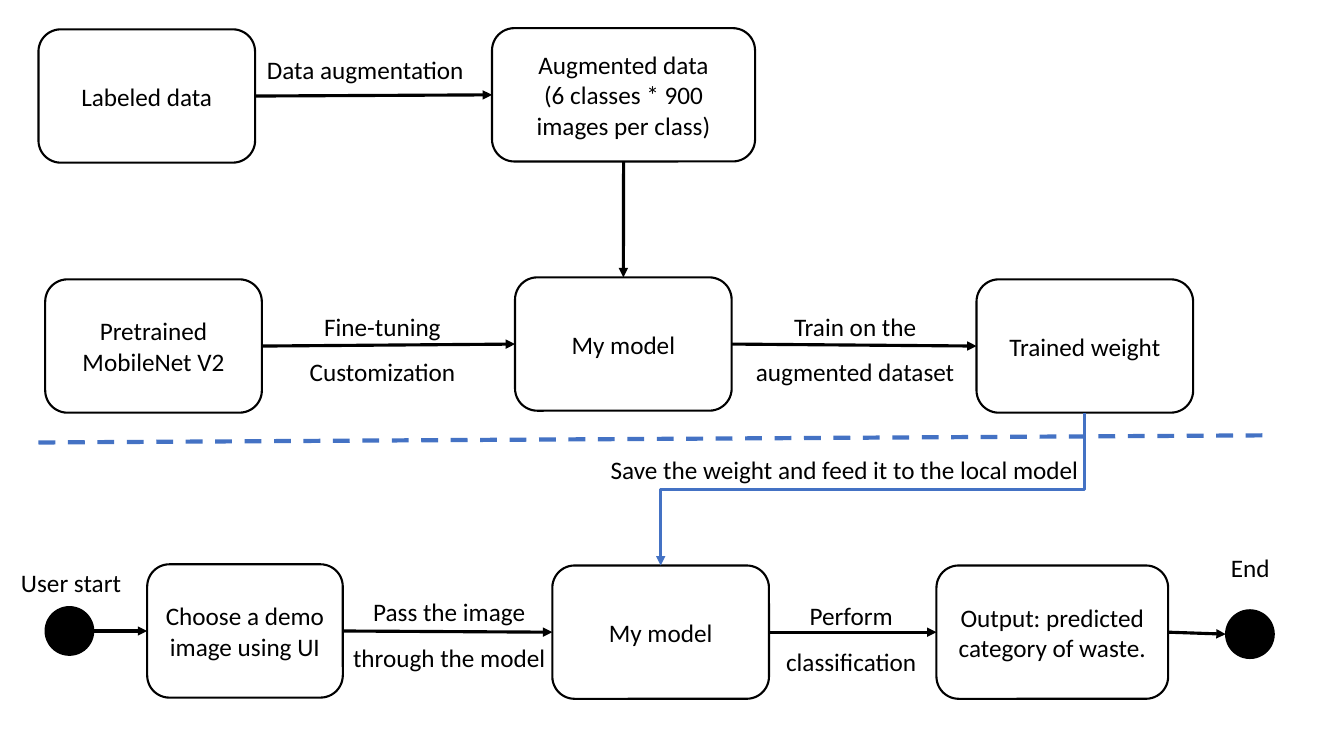
from lxml import etree
from pptx import Presentation
from pptx.dml.color import RGBColor
from pptx.enum import dml, shapes, text
from pptx.oxml import ns
from pptx.util import Cm, Pt

BLACK = RGBColor(0x00, 0x00, 0x00)
WHITE = RGBColor(0xFF, 0xFF, 0xFF)
BLUE = RGBColor(0x44, 0x72, 0xC4)

STEP_WIDTH, STEP_HEIGHT, DOT_SIZE = 5.46, 3.36, 1.22
TOP, LEFT, BOTTOM, RIGHT = range(4)  # connection sites of a step
FONT = {"name": "Calibri", "size": Pt(18)}


def write(frame, wording, align=text.PP_ALIGN.CENTER, spacing=1.0):
    """Fill a text frame, one paragraph per line of wording."""
    frame.word_wrap = True
    frame.text = wording
    for paragraph in frame.paragraphs:
        paragraph.alignment = align
        paragraph.line_spacing = spacing
        for key, value in FONT.items():
            setattr(paragraph.font, key, value)
        paragraph.font.color.rgb = BLACK


def add_node(slide, kind, area, at, size, fill, weight):
    """Place an outlined shape at an offset (cm) from its area's corner."""
    node = slide.shapes.add_shape(
        kind, Cm(area[0] + at[0]), Cm(area[1] + at[1]), Cm(size[0]), Cm(size[1]))
    node.shadow.inherit = False
    node.fill.solid()
    node.fill.fore_color.rgb = fill
    node.line.color.rgb = BLACK
    node.line.width = Pt(weight)
    return node


def add_step(slide, area, at, wording, width=STEP_WIDTH):
    step = add_node(slide, shapes.MSO_SHAPE.ROUNDED_RECTANGLE, area, at,
                    (width, STEP_HEIGHT), WHITE, 1.5)
    step.text_frame.vertical_anchor = text.MSO_ANCHOR.MIDDLE
    write(step.text_frame, wording)
    return step


def add_dot(slide, area, at):
    return add_node(slide, shapes.MSO_SHAPE.OVAL, area, at,
                    (DOT_SIZE, DOT_SIZE), BLACK, 1)


def add_label(slide, area, at, size, wording, **style):
    label = slide.shapes.add_textbox(
        Cm(area[0] + at[0]), Cm(area[1] + at[1]), Cm(size[0]), Cm(size[1]))
    write(label.text_frame, wording, **style)


def add_line(slide, kind, start, end, color=BLACK, weight=2.25, arrow=True):
    line = slide.shapes.add_connector(kind, *start, *end)
    line.line.color.rgb = color
    line.line.width = Pt(weight)
    if arrow:
        etree.SubElement(line.line._get_or_add_ln(), ns.qn("a:tailEnd"), type="triangle")
    etree.SubElement(line._element.spPr, ns.qn("a:effectLst"))
    return line


def site_point(node, site):
    across, down = {TOP: (0.5, 0), LEFT: (0, 0.5),
                    BOTTOM: (0.5, 1), RIGHT: (1, 0.5)}[site]
    return int(node.left + node.width * across), int(node.top + node.height * down)


def link(slide, source, target, leave=RIGHT, enter=LEFT):
    """Straight arrow between two nodes, glued wherever it meets a step."""
    arrow = add_line(slide, shapes.MSO_CONNECTOR.STRAIGHT,
                     site_point(source, leave), site_point(target, enter))
    step_kind = shapes.MSO_SHAPE.ROUNDED_RECTANGLE
    if source.auto_shape_type == step_kind:
        arrow.begin_connect(source, leave)
    if target.auto_shape_type == step_kind:
        arrow.end_connect(target, enter)


def link_chain(slide, nodes):
    for source, target in zip(nodes, nodes[1:]):
        link(slide, source, target)


def build_data_row(slide, area):
    labeled = add_step(slide, area, (0, 0.03), "Labeled data")
    augmented = add_step(slide, area, (11.43, 0),
                         "Augmented data\n(6 classes * 900 images per class)", 6.63)
    link(slide, labeled, augmented)
    add_label(slide, area, (5.2, 0.53), (6.07, 1.02), "Data augmentation")
    return augmented


def build_training_row(slide, area, augmented):
    pretrained = add_step(slide, area, (0.17, 0.05), "Pretrained\nMobileNet V2")
    model = add_step(slide, area, (12.01, 0), "My model")
    weight = add_step(slide, area, (23.64, 0.05), "Trained weight")
    link_chain(slide, [pretrained, model, weight])
    link(slide, augmented, model, BOTTOM, TOP)
    add_label(slide, area, (5.84, 0.35), (5.66, 2.44),
              "Fine-tuning\nCustomization", spacing=1.5)
    add_label(slide, area, (17.52, 0.35), (6.12, 2.44),
              "Train on the augmented dataset", spacing=1.5)
    return weight


def build_user_row(slide, area):
    start = add_dot(slide, area, (0.17, 1.07))
    choose = add_step(slide, area, (2.74, 0), "Choose a demo image using UI", 4.93)
    model = add_step(slide, area, (12.95, 0.03), "My model")
    output = add_step(slide, area, (22.63, 0.03),
                      "Output: predicted category of waste.", 5.84)
    end = add_dot(slide, area, (29.92, 1.15))
    link_chain(slide, [start, choose, model, output, end])
    for at, size, wording in [
        ((-1.63, -0.43), (4.9, 1.3), "User start"),
        ((7.62, 0.31), (5.46, 2.44), "Pass the image through the model"),
        ((18.56, 0.41), (3.84, 2.44), "Perform classification"),
        ((28.09, -0.81), (4.9, 1.3), "End"),
    ]:
        add_label(slide, area, at, size, wording, spacing=1.5)
    return model


def build_handoff(slide, area, weight, local_model):
    # Dashed divider between training and use
    left, top = area
    divider = add_line(slide, shapes.MSO_CONNECTOR.STRAIGHT,
                       (Cm(left), Cm(top + 0.18)), (Cm(left + 30.86), Cm(top)),
                       BLUE, 3, arrow=False)
    divider.line.dash_style = dml.MSO_LINE.DASH

    # Elbow going down, across and down: a quarter turn about its centre
    x1, y1 = site_point(weight, BOTTOM)
    x2, y2 = site_point(local_model, TOP)
    mid_x, mid_y = (x1 + x2) // 2, (y1 + y2) // 2
    half_drop, half_run = (y2 - y1) // 2, (x1 - x2) // 2
    elbow = add_line(slide, shapes.MSO_CONNECTOR.ELBOW,
                     (mid_x - half_drop, mid_y - half_run),
                     (mid_x + half_drop, mid_y + half_run), BLUE)
    elbow._element.spPr.find(ns.qn("a:xfrm")).set("rot", str(90 * 60000))

    add_label(slide, area, (14.17, 0.36), (12.4, 1.02),
              "Save the weight and feed it to the local model",
              align=text.PP_ALIGN.LEFT)


def main():
    deck = Presentation()
    deck.slide_width, deck.slide_height = Cm(33.87), Cm(19.05)
    slide = deck.slides.add_slide(deck.slide_layouts[6])

    augmented = build_data_row(slide, (0.97, 0.71))
    weight = build_training_row(slide, (0.97, 6.99), augmented)
    local_model = build_user_row(slide, (0.97, 14.22))
    build_handoff(slide, (0.97, 10.97), weight, local_model)

    deck.save("out.pptx")


if __name__ == "__main__":
    main()
